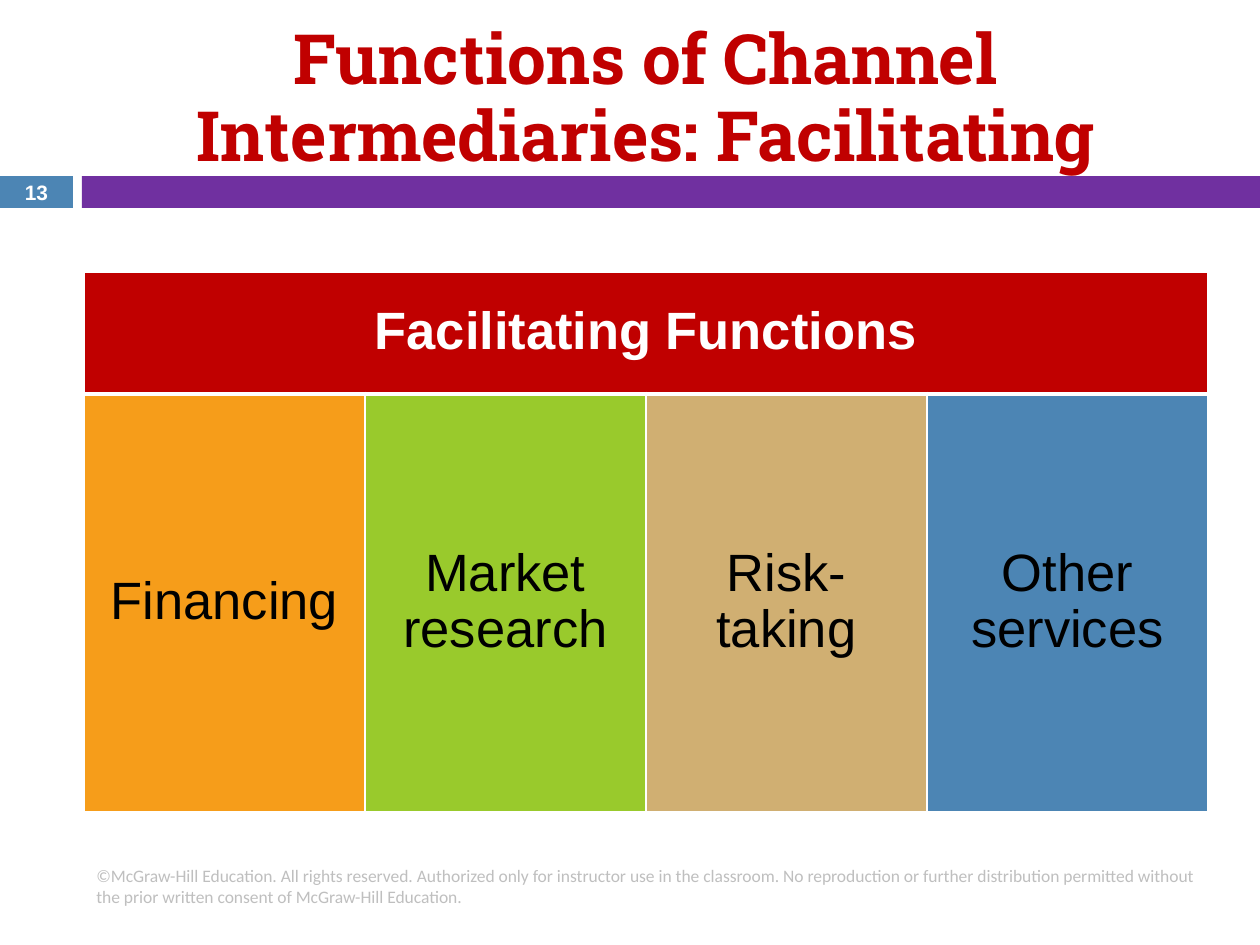
"""Build a slide on the facilitating functions of channel intermediaries."""
from dataclasses import dataclass

from lxml import etree
from pptx import Presentation, util as u
from pptx.dml.color import RGBColor
from pptx.enum import shapes, text
from pptx.oxml import ns

PX = 914400 / 126


def px(n):
    return u.Emu(round(n * PX))


@dataclass(frozen=True)
class Theme:
    red: str = "C00000"
    purple: str = "7030A0"
    blue: str = "4C85B4"
    orange: str = "F69D1A"
    green: str = "99CA2C"
    tan: str = "D0AF72"
    white: str = "FFFFFF"
    black: str = "000000"
    grey: str = "BFBFBF"
    title: float = 39.6
    table: float = 30
    number: float = 11.9
    footer: float = 10


def write(tf, words, size, color, font="Arial", bold=False, align="CENTER", spacing=1.0):
    p = tf.paragraphs[0]
    p.alignment = getattr(text.PP_ALIGN, align)
    p.line_spacing = spacing
    r = p.add_run()
    r.text = words
    r.font.name, r.font.size, r.font.bold = font, u.Pt(size), bold
    r.font.color.rgb = RGBColor.from_string(color)


class Deck:
    def __init__(self, theme):
        self.theme = theme
        self.prs = Presentation()
        self.prs.slide_width, self.prs.slide_height = px(1260), px(945)
        self.s = self.prs.slides.add_slide(self.prs.slide_layouts[6])

    def bar(self, x, y, w, h, color):
        sp = self.s.shapes.add_shape(shapes.MSO_SHAPE.RECTANGLE, px(x), px(y), px(w), px(h))
        sp.shadow.inherit = False
        sp.fill.solid()
        sp.fill.fore_color.rgb = RGBColor.from_string(color)
        sp.line.fill.background()

    def label(self, x, y, w, h, words, **style):
        tf = self.s.shapes.add_textbox(px(x), px(y), px(w), px(h)).text_frame
        tf.word_wrap = True
        tf.vertical_anchor = text.MSO_ANCHOR.MIDDLE
        write(tf, words, **style)

    def borders(self, cell, **widths):
        tc_pr = cell._tc.get_or_add_tcPr()
        for i, side in enumerate("LRTB"):
            ln = etree.Element(ns.qn(f"a:ln{side}"), w=str(u.Pt(widths.get(side, 1))))
            fill = etree.SubElement(ln, ns.qn("a:solidFill"))
            etree.SubElement(fill, ns.qn("a:srgbClr"), val=self.theme.white)
            tc_pr.insert(i, ln)

    def cell(self, cell, words, fill, color, bold=False):
        cell.fill.solid()
        cell.fill.fore_color.rgb = RGBColor.from_string(fill)
        cell.vertical_anchor = text.MSO_ANCHOR.MIDDLE
        write(cell.text_frame, words, self.theme.table, color, bold=bold, spacing=0.96)

    def table(self, x, y, col_w, row_heights, heading, items):
        n = len(items)
        t = self.s.shapes.add_table(2, n, px(x), px(y), px(col_w * n), px(sum(row_heights))).table
        for col in t.columns:
            col.width = px(col_w)
        for row, h in zip(t.rows, row_heights):
            row.height = px(h)
        t.cell(0, 0).merge(t.cell(0, n - 1))
        self.cell(t.cell(0, 0), heading, self.theme.red, self.theme.white, bold=True)
        for i, (words, fill) in enumerate(items):
            self.cell(t.cell(1, i), words, fill, self.theme.black)
            self.borders(t.cell(0, i), B=3)
            self.borders(t.cell(1, i), T=3)


def main():
    th = Theme()
    d = Deck(th)
    d.bar(0, 176, 73, 32, th.blue)
    d.bar(82, 176, 1178, 32, th.purple)
    d.label(84, 32, 1124, 136, "Functions of Channel Intermediaries: Facilitating",
            size=th.title, color=th.red, font="Roboto Slab", bold=True, spacing=0.92)
    d.label(0, 175, 73, 34, "13", size=th.number, color=th.white, bold=True)
    d.label(84, 861, 1124, 50,
            "©McGraw-Hill Education. All rights reserved. Authorized only for instructor use "
            "in the classroom. No reproduction or further distribution permitted without the "
            "prior written consent of McGraw-Hill Education.",
            size=th.footer, color=th.grey, font="Calibri", align="LEFT")
    d.table(84, 272, 281, (122, 418), "Facilitating Functions", [
        ("Financing", th.orange),
        ("Market research", th.green),
        ("Risk-taking", th.tan),
        ("Other services", th.blue),
    ])
    d.prs.save("out.pptx")


if __name__ == "__main__":
    main()
